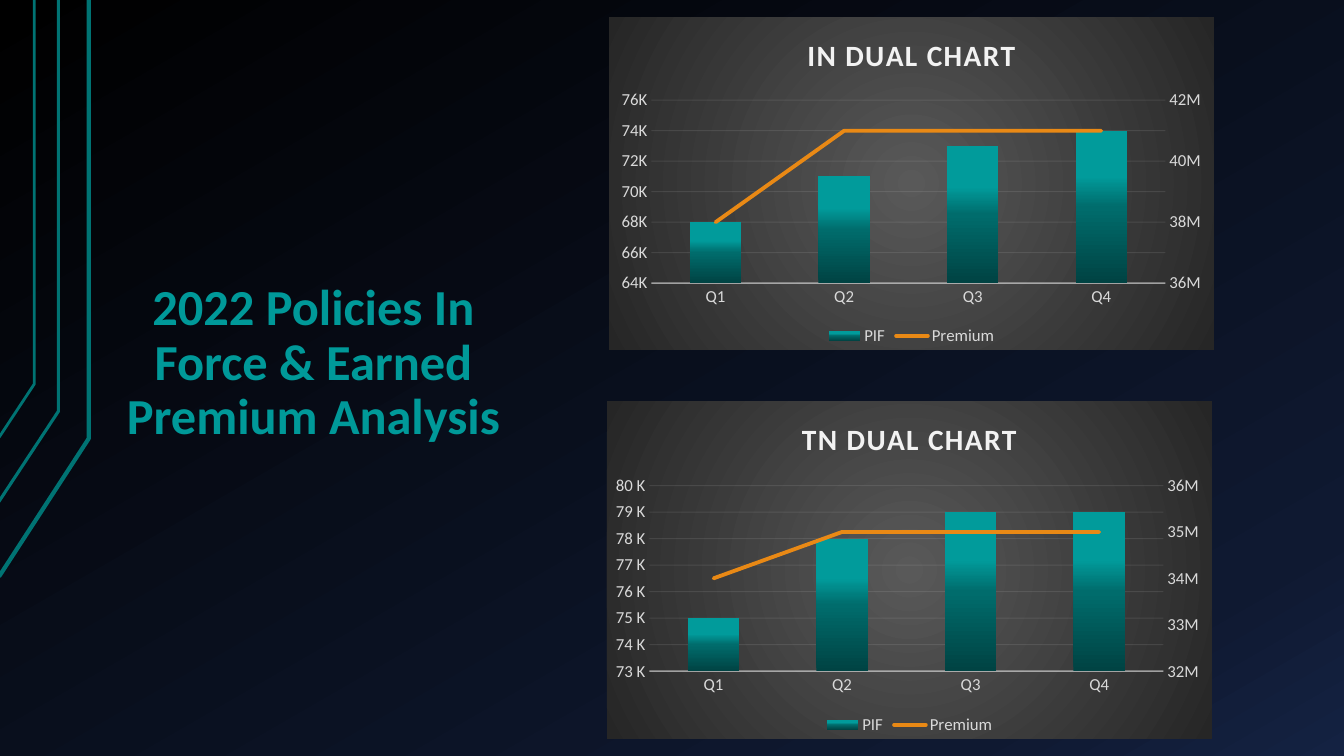
from lxml import etree
from pptx import Presentation
from pptx.chart.axis import ValueAxis
from pptx.chart.data import CategoryChartData
from pptx.dml.color import RGBColor
from pptx.enum.chart import XL_CHART_TYPE, XL_LEGEND_POSITION, XL_TICK_MARK
from pptx.enum.text import MSO_ANCHOR, PP_ALIGN
from pptx.oxml import parse_xml
from pptx.oxml.ns import nsdecls, qn
from pptx.util import Inches, Pt

CLUSTERED = XL_CHART_TYPE.COLUMN_CLUSTERED
LEGEND_BOTTOM = XL_LEGEND_POSITION.BOTTOM
NO_TICK = XL_TICK_MARK.NONE
MIDDLE = MSO_ANCHOR.MIDDLE
CENTER = PP_ALIGN.CENTER
FONT = "Calibri"
LABEL_GRAY = "D9D9D9"
OFF_WHITE = "F2F2F2"
ORANGE = "E98915"


def color(hex_value):
    return RGBColor.from_string(hex_value)


def gradient(stops, direction):
    stop_xml = "".join(
        f'<a:gs pos="{position * 1000}"><a:srgbClr val="{hex_value}"/></a:gs>'
        for position, hex_value in stops
    )
    return parse_xml(
        f'<a:gradFill {nsdecls("a")} rotWithShape="1">'
        f"<a:gsLst>{stop_xml}</a:gsLst>{direction}</a:gradFill>"
    )


presentation = Presentation()
presentation.slide_width = Inches(13.33)
presentation.slide_height = Inches(7.5)
slide = presentation.slides.add_slide(presentation.slide_layouts[5])

# Background
slide.background.fill.solid()
background = slide.element.find(".//" + qn("p:bgPr"))
background.replace(background[0], gradient(
    [(0, "000000"), (85, "0F1931"), (100, "142242")],
    '<a:lin ang="3600000" scaled="0"/>'))

# Bent lines on the left edge
bent_lines = [
    ([(-0.01, 5.72), (0.88, 4.35), (0.88, 0)], 3),
    ([(-0.02, 4.99), (0.58, 4.08), (0.58, 0)], 2.25),
    ([(-0.01, 4.34), (0.34, 3.81), (0.34, 0)], 2),
]
for points, width in bent_lines:
    start, *corners = [(Inches(x), Inches(y)) for x, y in points]
    builder = slide.shapes.build_freeform(*start)
    builder.add_line_segments(corners, close=False)
    shape = builder.convert_to_shape()
    shape.shadow.inherit = False
    shape.fill.background()
    shape.line.color.rgb = color("007373")
    shape.line.width = Pt(width)

# Title
title = slide.shapes.title
title.left, title.top = Inches(0.83), Inches(2.76)
title.width, title.height = Inches(4.56), Inches(1.7)
text_frame = title.text_frame
text_frame.word_wrap = True
text_frame.vertical_anchor = MIDDLE
for index, text in enumerate(["2022 Policies In Force & Earned", "Premium Analysis"]):
    paragraph = text_frame.add_paragraph() if index else text_frame.paragraphs[0]
    paragraph.alignment = CENTER
    paragraph.line_spacing = 0.9
    paragraph.space_before = Pt(0)
    run = paragraph.add_run()
    run.text = text
    run.font.name = FONT
    run.font.size = Pt(36)
    run.font.bold = True
    run.font.color.rgb = color("009999")

# Charts: columns on the left axis, line on the right axis
# Each axis scale is minimum, maximum, major unit, number format
dual_charts = [
    {
        "title": "IN DUAL CHART", "box": (6.04, 0.17, 6, 3.3),
        "policies": (68000, 71000, 73000, 74000),
        "premium": (38000000, 41000000, 41000000, 41000000),
        "left_scale": (64000, 76000, 2000, '#,##0,"K"'),
        "right_scale": (36000000, 42000000, 2000000, '#,##0,,"M"'),
    },
    {
        "title": "TN DUAL CHART", "box": (6.02, 3.98, 6, 3.35),
        "policies": (75000, 78000, 79000, 79000),
        "premium": (34000000, 35000000, 35000000, 35000000),
        "left_scale": (73000, 80000, 1000, '#,##0,\\ "K"'),
        "right_scale": (32000000, 36000000, 1000000, '#,##0,,"M"'),
    },
]
for dual in dual_charts:
    data = CategoryChartData()
    data.categories = ["Q1", "Q2", "Q3", "Q4"]
    data.add_series("PIF", dual["policies"])
    data.add_series("Premium", dual["premium"])
    box = [Inches(length) for length in dual["box"]]
    chart = slide.shapes.add_chart(CLUSTERED, *box, data).chart
    category_axis, left_axis = chart.category_axis, chart.value_axis
    chart.font.name = FONT
    chart.font.size = Pt(10)
    chart.font.color.rgb = color("FFFFFF")

    # Chart title and legend
    chart.has_title = True
    run = chart.chart_title.text_frame.paragraphs[0].add_run()
    run.text = dual["title"]
    run.font.name = FONT
    run.font.size = Pt(21)
    run.font.bold = True
    run.font.color.rgb = color(OFF_WHITE)
    run.font._element.set("spc", "100")
    chart.has_legend = True
    chart.legend.position = LEGEND_BOTTOM
    chart.legend.include_in_layout = False

    # Series
    plot = chart.plots[0]
    plot.gap_width = 150
    plot.vary_by_categories = False
    policies, premium = plot.series
    policies.format.fill.solid()
    solid_fill = policies.format.fill._xPr.find(qn("a:solidFill"))
    solid_fill.getparent().replace(solid_fill, gradient(
        [(0, "004343"), (50, "006C6C"), (70, "019B9B"), (100, "009999")],
        '<a:lin ang="16200000" scaled="0"/>'))
    premium.format.line.color.rgb = color(ORANGE)
    premium.format.line.width = Pt(2.75)

    # Move the premium series to a line plot with its own axes
    chart_space = chart.element
    plot_area = chart_space.find(".//" + qn("c:plotArea"))
    premium_xml = premium._element
    premium_xml.find(".//" + qn("a:ln")).set("cap", "rnd")
    for element in premium_xml.findall(qn("c:invertIfNegative")):
        premium_xml.remove(element)
    premium_xml.find(qn("c:spPr")).addnext(parse_xml(
        f'<c:marker {nsdecls("c")}><c:symbol val="none"/></c:marker>'))
    etree.SubElement(premium_xml, qn("c:smooth")).set("val", "0")
    line_plot = parse_xml(
        f'<c:lineChart {nsdecls("c")}><c:grouping val="standard"/>'
        '<c:varyColors val="0"/><c:marker val="1"/>'
        '<c:axId val="5001"/><c:axId val="5002"/></c:lineChart>')
    line_plot.insert(2, premium_xml)
    plot_area.find(qn("c:barChart")).addnext(line_plot)
    right_axis_xml = parse_xml(
        f'<c:valAx {nsdecls("c")}><c:axId val="5002"/><c:scaling/>'
        '<c:delete val="0"/><c:axPos val="r"/><c:tickLblPos val="nextTo"/>'
        '<c:crossAx val="5001"/><c:crosses val="max"/>'
        '<c:crossBetween val="between"/></c:valAx>')
    hidden_axis_xml = parse_xml(
        f'<c:catAx {nsdecls("c")}><c:axId val="5001"/><c:scaling/>'
        '<c:delete val="1"/><c:axPos val="b"/>'
        '<c:crossAx val="5002"/><c:crosses val="autoZero"/></c:catAx>')
    plot_area.find(qn("c:valAx")).addnext(right_axis_xml)
    right_axis_xml.addnext(hidden_axis_xml)

    # Axes
    right_axis = ValueAxis(right_axis_xml)
    for axis, scale in ((left_axis, dual["left_scale"]), (right_axis, dual["right_scale"])):
        axis.minimum_scale, axis.maximum_scale, axis.major_unit, number_format = scale
        axis.tick_labels.number_format = number_format
        axis.tick_labels.number_format_is_linked = False
        axis.format.line.fill.background()
    for axis in (category_axis, left_axis, right_axis):
        axis.major_tick_mark = axis.minor_tick_mark = NO_TICK
    for font in [chart.legend.font] + [
            axis.tick_labels.font for axis in (category_axis, left_axis, right_axis)]:
        font.name = FONT
        font.size = Pt(12)
        font.color.rgb = color(LABEL_GRAY)
    left_axis.has_major_gridlines = True
    for line, width, opacity, location in (
            (category_axis.format.line, 1, 54, "c:catAx/c:spPr"),
            (left_axis.major_gridlines.format.line, 0.75, 10, "c:valAx/c:majorGridlines")):
        line.color.rgb = color(OFF_WHITE)
        line.width = Pt(width)
        line_color = plot_area.xpath(location + "//a:srgbClr")[0]
        etree.SubElement(line_color, qn("a:alpha")).set("val", str(opacity * 1000))

    # Plot position and chart background
    for element in plot_area.findall(qn("c:layout")):
        plot_area.remove(element)
    plot_area.insert(0, parse_xml(
        f'<c:layout {nsdecls("c")}><c:manualLayout><c:layoutTarget val="inner"/>'
        '<c:xMode val="edge"/><c:yMode val="edge"/><c:x val="0.07"/><c:y val="0.25"/>'
        '<c:w val="0.85"/><c:h val="0.55"/></c:manualLayout></c:layout>'))
    chart_fill = parse_xml(f'<c:spPr {nsdecls("c", "a")}><a:ln><a:noFill/></a:ln></c:spPr>')
    chart_fill.insert(0, gradient(
        [(0, "595959"), (100, "262626")],
        '<a:path path="circle"><a:fillToRect l="50000" t="50000" r="50000" b="50000"/></a:path>'))
    chart_space.find(qn("c:chart")).addnext(chart_fill)

presentation.save("out.pptx")
